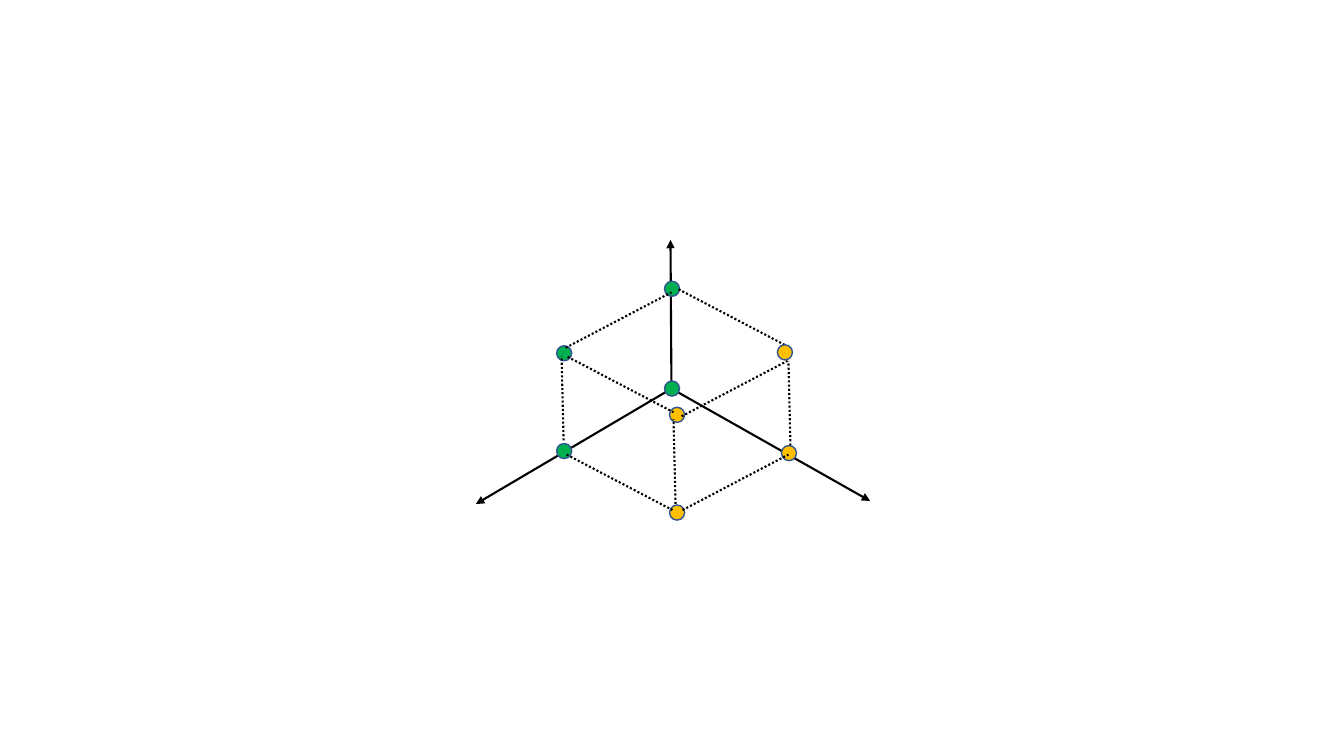
from pptx import Presentation
from pptx.dml.color import RGBColor
from pptx.enum.dml import MSO_LINE
from pptx.enum.shapes import MSO_CONNECTOR as CONN, MSO_SHAPE as SHAPE
from pptx.oxml.ns import qn
from pptx.util import Inches, Pt
from lxml.etree import SubElement

BLACK = RGBColor(0x00, 0x00, 0x00)
GREEN = RGBColor(0x00, 0xB0, 0x50)
AMBER = RGBColor(0xFF, 0xC0, 0x00)
OUTLINE = RGBColor(0x32, 0x54, 0x91)

COLS, ROWS = 1333, 750  # fine grid over the whole slide
DOT = 15                # vertex diameter in grid cells

AXES = [((666, 388), (665, 238)), ((665, 385), (863, 497)), ((667, 385), (472, 500))]

# Vertices: left and top of each dot, and its colour
BACK_DOTS = [(659, 279, GREEN), (775, 442, AMBER), (552, 343, GREEN),
             (552, 440, GREEN), (664, 404, AMBER), (664, 501, AMBER)]
FRONT_DOTS = [(659, 378, GREEN), (771, 342, AMBER)]

# Cube edges: one step per direction, with the points where edges start
EDGES = [((105, 55), [(673, 287), (563, 354), (562, 451)]),
         ((-2, -84), [(559, 437), (784, 442)]),
         ((105, -55), [(677, 506), (676, 413), (561, 345)])]
FRONT_EDGE = ((-2, -84), (670, 500))


class CubeSlide:
    def __init__(self, prs):
        self.cell_w = prs.slide_width / COLS
        self.cell_h = prs.slide_height / ROWS
        s = prs.slides.add_slide(prs.slide_layouts[6])
        self.shapes = s.shapes.add_group_shape().shapes

    def pos(self, col, row):
        return round(col * self.cell_w), round(row * self.cell_h)

    def line(self, start, end):
        c = self.shapes.add_connector(CONN.STRAIGHT, *self.pos(*start), *self.pos(*end))
        c.line.color.rgb = BLACK
        c.line.width = Pt(1.5)
        SubElement(c._element.spPr, qn("a:effectLst"))
        return c

    def axis(self, start, end):
        ln = self.line(start, end).line._get_or_add_ln()
        SubElement(ln, qn("a:tailEnd"), type="triangle")

    def edge(self, step, start):
        end = (start[0] + step[0], start[1] + step[1])
        self.line(start, end).line.dash_style = MSO_LINE.ROUND_DOT

    def dot(self, col, row, color):
        sp = self.shapes.add_shape(SHAPE.OVAL, *self.pos(col, row), *self.pos(DOT, DOT))
        sp.shadow.inherit = False
        sp.fill.solid()
        sp.fill.fore_color.rgb = color
        sp.line.color.rgb = OUTLINE
        sp.line.width = Pt(1)


def main():
    prs = Presentation()
    prs.slide_width, prs.slide_height = Inches(13.33), Inches(7.5)
    cube = CubeSlide(prs)

    # Three axes
    for start, end in AXES:
        cube.axis(start, end)

    # Dots behind the dotted edges
    for dot in BACK_DOTS:
        cube.dot(*dot)

    # Dotted cube edges
    for step, starts in EDGES:
        for start in starts:
            cube.edge(step, start)

    # Dots and edge in front
    for dot in FRONT_DOTS:
        cube.dot(*dot)
    cube.edge(*FRONT_EDGE)

    prs.save("out.pptx")


if __name__ == "__main__":
    main()
